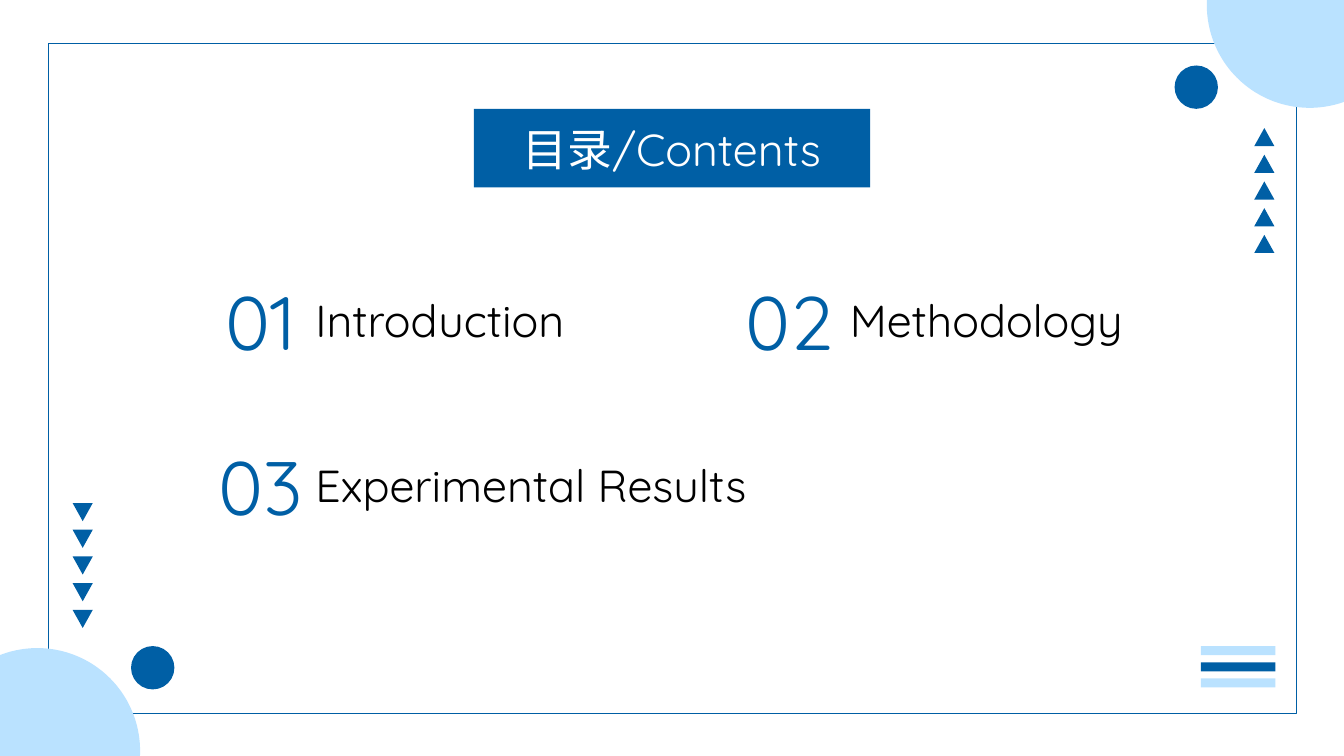
import math
from dataclasses import dataclass

import pptx
import pptx.dml.color
import pptx.enum.shapes
import pptx.enum.text
import pptx.util
from lxml import etree
from pptx.util import Inches

SHAPE = pptx.enum.shapes.MSO_SHAPE
ALIGN = pptx.enum.text.PP_ALIGN
DRAWING_NS = "http://schemas.openxmlformats.org/drawingml/2006/main"


@dataclass(frozen=True)
class Theme:
    font: str = "Quicksand"
    dark: str = "005FA5"
    pale: str = "BAE2FF"
    white: str = "FFFFFF"
    black: str = "000000"
    heading_size: int = 32
    number_size: int = 54


THEME = Theme()


def rgb(color):
    return pptx.dml.color.RGBColor.from_string(color)


def paint(shape, fill=None, line=None):
    if fill:
        shape.fill.solid()
        shape.fill.fore_color.rgb = rgb(fill)
    else:
        shape.fill.background()
    if line:
        shape.line.color.rgb = rgb(line)
        shape.line.width = pptx.util.Pt(1)
    else:
        shape.line.fill.background()
    shape.shadow.inherit = False


def add_form(slide, form, left, top, width, height, **colors):
    shape = slide.shapes.add_shape(
        form, Inches(left), Inches(top), Inches(width), Inches(height))
    paint(shape, **colors)
    return shape


def write(shape, text, size=THEME.heading_size, color=THEME.black, align=ALIGN.LEFT):
    frame = shape.text_frame
    frame.word_wrap = True
    frame.auto_size = pptx.enum.text.MSO_AUTO_SIZE.NONE
    frame.vertical_anchor = pptx.enum.text.MSO_ANCHOR.MIDDLE
    paragraph = frame.paragraphs[0]
    paragraph.alignment = align
    run = paragraph.add_run()
    run.text = text
    run.font.name = THEME.font
    run.font.size = pptx.util.Pt(size)
    run.font.color.rgb = rgb(color)


def add_text(slide, text, left, top, width, height, **text_format):
    box = slide.shapes.add_textbox(
        Inches(left), Inches(top), Inches(width), Inches(height))
    write(box, text, **text_format)


def add_title_pill(slide, text):
    title = slide.shapes.title
    title.left, title.top = Inches(4.7), Inches(1.08)
    title.width, title.height = Inches(3.93), Inches(0.78)
    properties = title._element.spPr
    geometry = etree.SubElement(properties, f"{{{DRAWING_NS}}}prstGeom", prst="roundRect")
    adjustments = etree.SubElement(geometry, f"{{{DRAWING_NS}}}avLst")
    etree.SubElement(adjustments, f"{{{DRAWING_NS}}}gd", name="adj", fmla="val 50000")
    paint(title, fill=THEME.dark)
    write(title, text, color=THEME.white, align=ALIGN.CENTER)


def add_corner_disc(slide, center_x, center_y, side):
    """Draw a disc cut off at a slide corner: side 1 is top right, -1 bottom left."""
    radius, reach, rise, steps = 1.02, 0.37, 0.05, 60
    start = math.pi + math.asin(rise / radius)
    end = math.acos(reach / radius)
    angles = [start + (end - start) * step / steps for step in range(steps + 1)]
    offsets = [(radius * math.cos(a), radius * math.sin(a)) for a in angles]
    offsets.append((reach, -rise))
    points = [(Inches(center_x + side * x), Inches(center_y + side * y))
              for x, y in offsets]
    outline = slide.shapes.build_freeform(*points[0])
    outline.add_line_segments(points[1:], close=True)
    paint(outline.convert_to_shape(), fill=THEME.pale)


def add_triangle_column(slide, left, top, rotation=0):
    count, span = 5, 1.06
    for index in range(count):
        triangle = add_form(slide, SHAPE.ISOSCELES_TRIANGLE, left,
                            top + index * span / (count - 1), 0.2, 0.18, fill=THEME.dark)
        triangle.rotation = rotation


def add_decoration(slide):
    add_form(slide, SHAPE.RECTANGLE, 0.48, 0.43, 12.38, 6.65, line=THEME.dark)
    add_corner_disc(slide, 12.99, 0.05, 1)
    add_corner_disc(slide, 0.37, 7.45, -1)
    add_triangle_column(slide, 12.44, 1.27)
    add_triangle_column(slide, 0.72, 4.99, rotation=180)
    for left, top in ((11.65, 0.65), (1.3, 6.41)):
        add_form(slide, SHAPE.OVAL, left, top, 0.43, 0.43, fill=THEME.dark)
    for index, color in enumerate((THEME.pale, THEME.dark, THEME.pale)):
        add_form(slide, SHAPE.RECTANGLE, 11.91, 6.41 + 0.16 * index, 0.74, 0.09, fill=color)


def add_entry(slide, number, heading, number_left, heading_left, top, heading_width):
    add_text(slide, number, number_left, top, 1.19, 0.73,
             size=THEME.number_size, color=THEME.dark, align=ALIGN.CENTER)
    add_text(slide, heading, heading_left, top + 0.04, heading_width, 0.64)


def main():
    deck = pptx.Presentation()
    deck.slide_width, deck.slide_height = Inches(13.33), Inches(7.5)
    slide = deck.slides.add_slide(deck.slide_layouts.get_by_name("Title Only"))
    add_decoration(slide)
    add_title_pill(slide, "目录/Contents")
    add_entry(slide, "01", "Introduction", 1.99, 3.03, 2.81, 3.6)
    add_entry(slide, "02", "Methodology", 7.23, 8.33, 2.81, 3.6)
    add_entry(slide, "03", "Experimental Results", 1.99, 3.03, 4.45, 5.39)
    deck.save("out.pptx")


if __name__ == "__main__":
    main()
